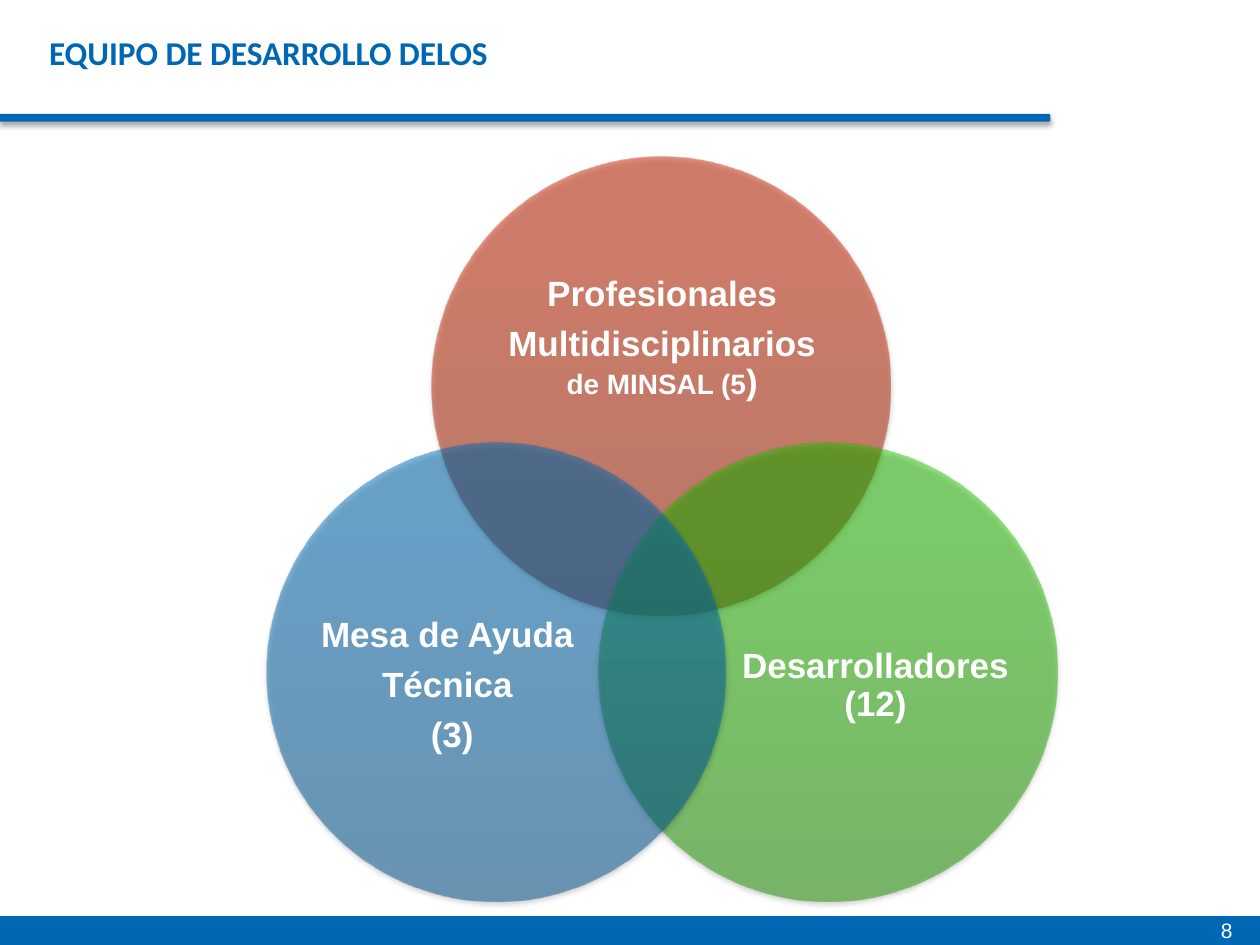
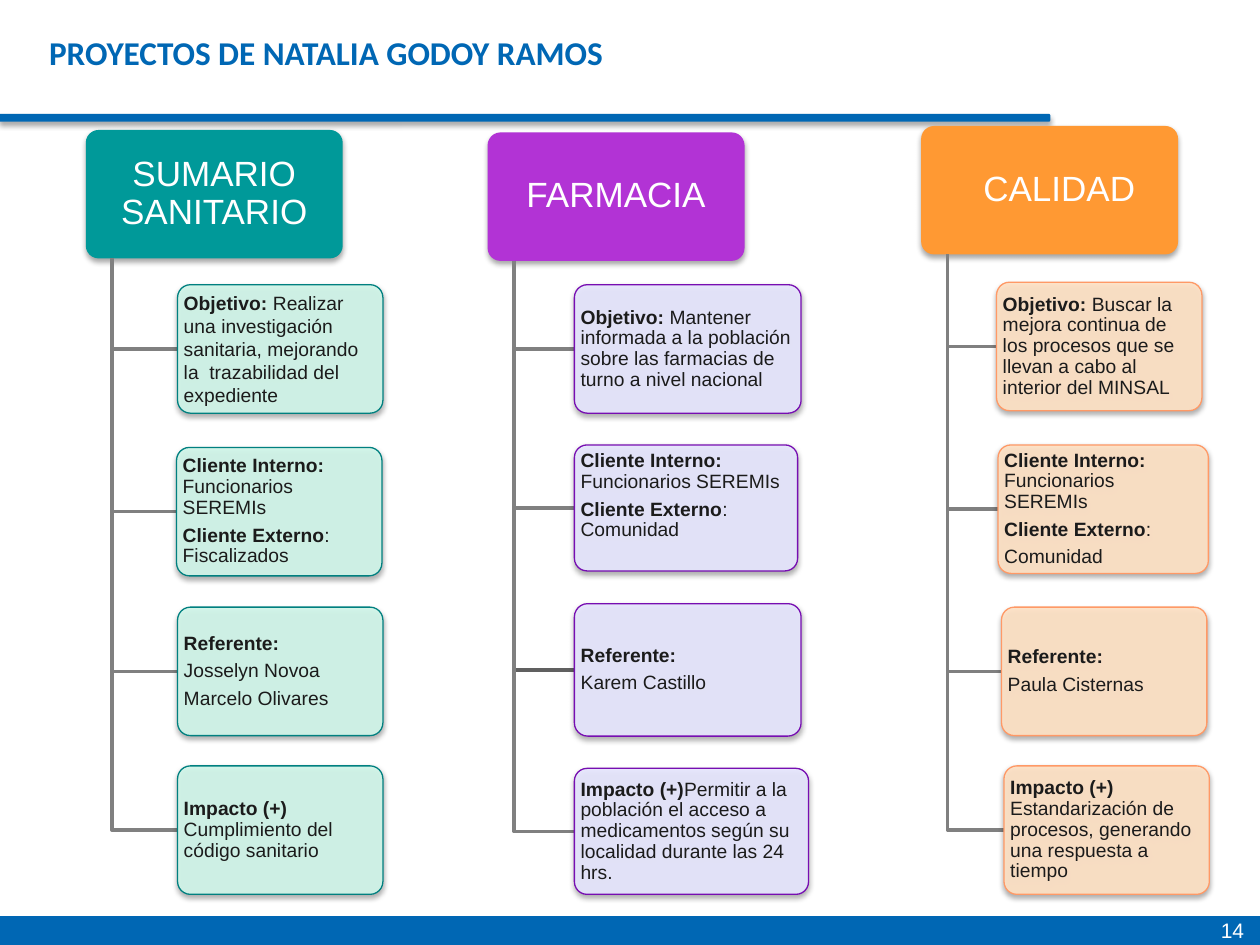
"""Builds two slides: the development team and one person's projects."""
from lxml import etree
from pptx import Presentation
from pptx import util as u
from pptx.dml.color import RGBColor
from pptx.enum import shapes, text
from pptx.oxml.ns import qn

HUE = {
    "blue": "0067B4", "white": "FFFFFF", "ink": "1B1B1B", "black": "000000",
    "gray": "808080", "dusk": "606060",
    "rust": "9B1D00", "red": "CA2600", "moss": "1D9500", "green": "26C200",
    "navy": "00548F", "sky": "006DBA",
    "teal": "009999", "mint": "D1F7EA", "pine": "008080",
    "plum": "B233D5", "lilac": "E7E7FF", "grape": "770EB2",
    "orange": "FF9933", "peach": "FFE2C5", "coral": "FF9966",
}
KIND = shapes.MSO_SHAPE
MID, TOP = text.MSO_ANCHOR.MIDDLE, text.MSO_ANCHOR.TOP
LEFT, CENTER = text.PP_ALIGN.LEFT, text.PP_ALIGN.CENTER


def write(frame, paras, size=11, font="Arial", hue="ink", bold=False, small=None,
          align=LEFT, anchor=MID, pad=(0, 0, 0, 0), lead=0.9, gap=0.35, wrap=True):
    """Fill a frame; runs between asterisks are small if a size is given, else bold."""
    frame.word_wrap = wrap
    frame.auto_size = text.MSO_AUTO_SIZE.NONE
    frame.vertical_anchor = anchor
    (frame.margin_left, frame.margin_top,
     frame.margin_right, frame.margin_bottom) = [u.Cm(p) for p in pad]
    for i, line in enumerate(paras):
        para = frame.paragraphs[0] if i == 0 else frame.add_paragraph()
        para.alignment, para.line_spacing = align, lead
        para.space_after = u.Pt(size * gap)
        for j, part in enumerate(line.split("*")):
            if not part:
                continue
            run = para.add_run()
            run.text = part
            mark = j % 2 == 1
            run.font.name = font
            run.font.size = u.Pt(small if mark and small else size)
            run.font.bold = bold or (mark and not small)
            run.font.color.rgb = RGBColor.from_string(HUE[hue])


def draw(slide, kind, box, tints, line=None, alpha=100, shade=True, bend=None):
    """Add a shape with a plain or two-tone fill, a line and a soft shadow."""
    shape = slide.shapes.add_shape(kind, *[u.Cm(v) for v in box])
    if bend is not None:
        shape.adjustments[0] = bend
    if len(tints) == 1:
        shape.fill.solid()
        shape.fill.fore_color.rgb = RGBColor.from_string(HUE[tints[0]])
    else:
        shape.fill.gradient()
        shape.fill.gradient_angle = 90
        for stop, tint, spot in zip(shape.fill.gradient_stops, tints, (0, 0.8)):
            stop.color.rgb = RGBColor.from_string(HUE[tint])
            stop.position = spot
    props = shape._element.spPr
    if alpha < 100:
        for tone in list(props.iter(qn("a:srgbClr"))):
            etree.SubElement(tone, qn("a:alpha"), val=str(alpha * 1000))
    if line:
        shape.line.color.rgb = RGBColor.from_string(HUE[line])
        shape.line.width = u.Pt(0.75)
    else:
        shape.line.fill.background()
    shape.shadow.inherit = False
    if shade:
        cast = etree.SubElement(props.find(qn("a:effectLst")), qn("a:outerShdw"),
                                blurRad="40000", dist="23000", dir="5400000", rotWithShape="0")
        tone = etree.SubElement(cast, qn("a:srgbClr"), val=HUE["black"])
        etree.SubElement(tone, qn("a:alpha"), val="35000")
    return shape


deck = Presentation()
deck.slide_width, deck.slide_height = u.Cm(25.4), u.Cm(19.05)
pages = []
for name, num in (("EQUIPO DE DESARROLLO DELOS", "8"),
                  ("PROYECTOS DE NATALIA GODOY RAMOS", "14")):
    page = deck.slides.add_slide(deck.slide_layouts[5])
    pages.append(page)
    draw(page, KIND.ROUNDED_RECTANGLE, (0, 2.31, 21.16, 0.13), ["blue"], line="blue", bend=0.12)
    draw(page, KIND.RECTANGLE, (0, 18.47, 25.4, 0.58), ["blue"], shade=False)
    title = page.shapes.title
    title.left, title.top, title.width, title.height = [u.Cm(v) for v in (0.99, 0.64, 20.19, 0.84)]
    write(title.text_frame, [name], size=19, font="Calibri", hue="blue", bold=True, lead=1, gap=0)
    foot = page.shapes.add_textbox(u.Cm(24.36), u.Cm(18.36), u.Cm(1.04), u.Cm(0.69))
    write(foot.text_frame, [num], size=12, hue="white", anchor=TOP,
          pad=(0.25, 0.13, 0.25, 0), lead=1, gap=0, wrap=False)
team, work = pages

SIDE = 9.25
rings = [
    (8.71, 3.15, ["rust", "red"], (9.96, 4.75, 6.78, 4.17),
     ["Profesionales", "Multidisciplinarios* de MINSAL (5*)"]),
    (12.06, 8.92, ["moss", "green"], (14.88, 11.3, 5.54, 5.08), ["Desarrolladores (12)"]),
    (5.38, 8.92, ["navy", "sky"], (6.25, 11.3, 5.54, 5.08),
     ["Mesa de Ayuda", "Técnica", " (3)"]),
]
for x, y, tints, area, words in rings:
    draw(team, KIND.OVAL, (x, y, SIDE, SIDE), tints, alpha=50)
    label = team.shapes.add_textbox(*[u.Cm(v) for v in area])
    write(label.text_frame, words, size=20, hue="white", bold=True, small=16, align=CENTER)

WIDE, HIGH, STEM = 5.18, 2.59, 0.53
trees = [
    ("SUMARIO SANITARIO", 1.73, 2.62, 0, ("teal", "mint", "pine"), [
        (3.58, 5.74, 4.14, 2.59, ["*Objetivo: *Realizar una investigación sanitaria, "
                                  "mejorando la  trazabilidad del expediente"]),
        (3.56, 9.02, 4.14, 2.59, ["*Cliente Interno: *Funcionarios SEREMIs",
                                  "*Cliente Externo*: Fiscalizados"]),
        (3.58, 12.24, 4.14, 2.59, ["*Referente:*", "Josselyn Novoa", "Marcelo Olivares"]),
        (3.58, 15.44, 4.14, 2.59, ["*Impacto (+) *Cumplimiento del código sanitario"]),
    ]),
    ("FARMACIA", 9.83, 2.67, 0, ("plum", "lilac", "grape"), [
        (11.58, 5.74, 4.57, 2.59, ["*Objetivo: *Mantener informada a la población sobre "
                                   "las farmacias de turno a nivel nacional"]),
        (11.58, 8.97, 4.5, 2.54, ["*Cliente Interno: *Funcionarios SEREMIs",
                                  "*Cliente Externo*: Comunidad"]),
        (11.58, 12.17, 4.57, 2.67, ["*Referente:*", "Karem Castillo"]),
        (11.58, 15.49, 4.72, 2.54, ["*Impacto (+)*Permitir a la población el acceso a "
                                    "medicamentos según su localidad durante las 24 hrs."]),
    ]),
    ("CALIDAD", 18.57, 2.54, 0.39, ("orange", "peach", "coral"), [
        (20.09, 5.69, 4.14, 2.59, ["*Objetivo: *Buscar la mejora continua de los procesos que "
                                   "se llevan a cabo al interior del MINSAL"]),
        (20.12, 8.97, 4.24, 2.59, ["*Cliente Interno: *Funcionarios SEREMIs",
                                   "*Cliente Externo*:", "Comunidad"]),
        (20.19, 12.24, 4.14, 2.59, ["*Referente:*", "Paula Cisternas"]),
        (20.24, 15.44, 4.14, 2.59, ["*Impacto (+) *Estandarización de procesos, "
                                    "generando una respuesta a tiempo"]),
    ]),
]
links, cards = [], []
for name, left, top, shift, (deep, pale, edge), leaves in trees:
    head = draw(work, KIND.ROUNDED_RECTANGLE, (left, top, WIDE, HIGH), [deep], bend=0.1)
    write(head.text_frame, [name], size=20, hue="white", align=CENTER,
          pad=(0.1 + shift, 0.08, 0.1, 0.08))
    stem, base = u.Cm(left + STEM), u.Cm(top + HIGH)
    for x, y, w, h, words in leaves:
        mid = u.Cm(y + h / 2)
        pen = work.shapes.build_freeform(stem, base)
        pen.add_line_segments([(stem, mid), (u.Cm(x), mid)], close=False)
        link = pen.convert_to_shape()
        link.fill.background()
        link.line.color.rgb = RGBColor.from_string(HUE["gray"])
        link.line.width = u.Pt(2)
        link.shadow.inherit = False
        links.append(link)
        card = draw(work, KIND.ROUNDED_RECTANGLE, (x, y, w, h), [pale], line=edge,
                    alpha=90, bend=0.1)
        write(card.text_frame, words, pad=(0.05, 0.05, 0.05, 0.05),
              lead=0.9 if cards else 1)
        cards.append(card)
links[6].line.color.rgb = RGBColor.from_string(HUE["dusk"])
cards[5].text_frame.vertical_anchor = TOP

deck.save("out.pptx")
